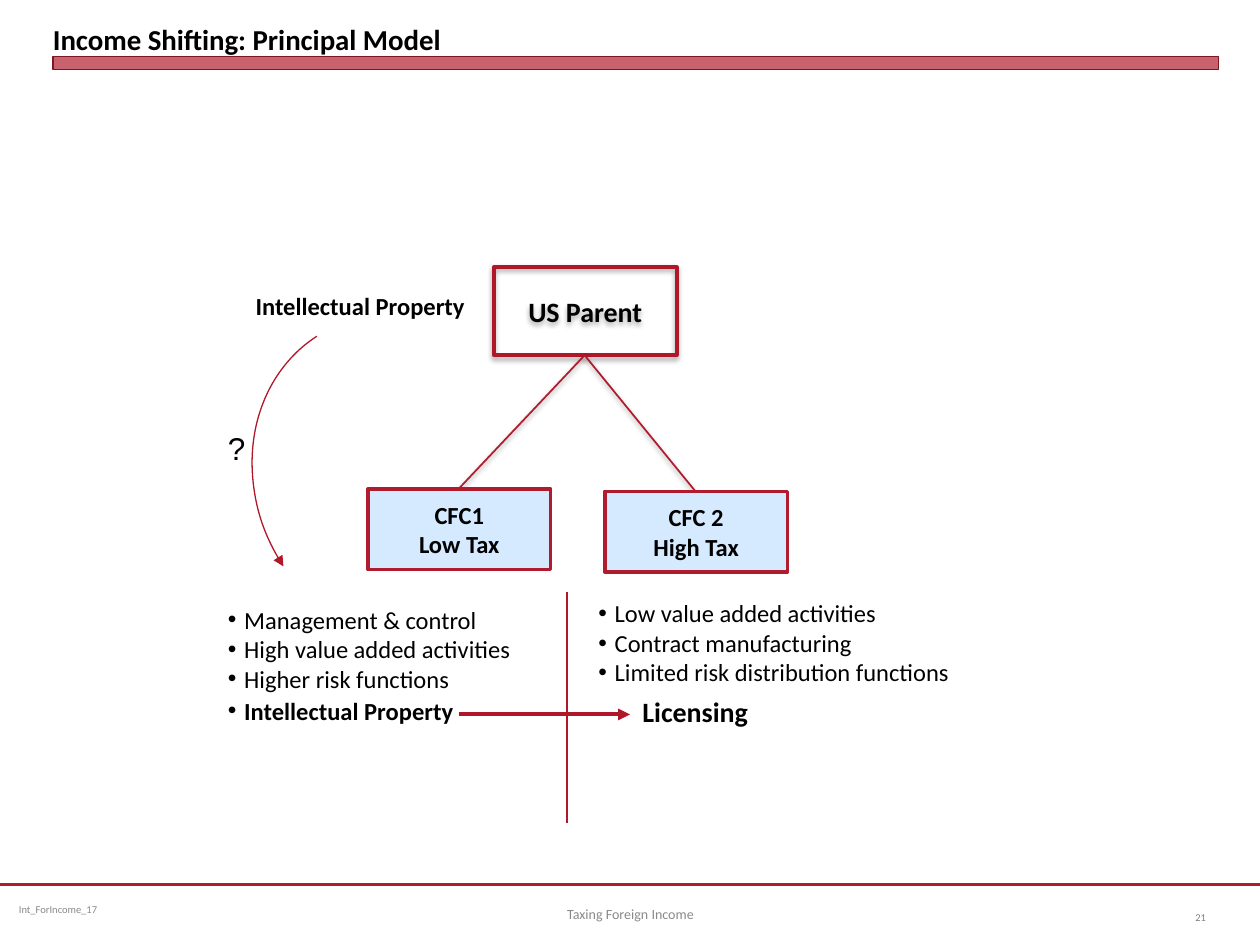
import pptx
import pptx.util
import pptx.dml.color
import pptx.enum.shapes
import pptx.enum.text
import pptx.oxml
import pptx.oxml.ns
from lxml import etree

Inches, Pt = pptx.util.Inches, pptx.util.Pt
SHAPE = pptx.enum.shapes.MSO_SHAPE
ALIGN = pptx.enum.text.PP_ALIGN
ANCHOR = pptx.enum.text.MSO_ANCHOR
CRIMSON, RED = "B01C2E", "B0182A"
BLACK, GRAY = "000000", "898989"
PALE_BLUE = "D6EAFF"


def rgb(hex_color):
    return pptx.dml.color.RGBColor.from_string(hex_color)


def add_child(parent, tag, **attributes):
    return etree.SubElement(parent, pptx.oxml.ns.qn(tag), attributes)


class SlideBuilder:
    def __init__(self, slide, font="Calibri"):
        self.slide = slide
        self.font = font

    def fill_text(self, frame, lines, size, color=BLACK, bold=False, align=ALIGN.LEFT,
                  anchor=ANCHOR.TOP, font=None, bulleted=False):
        frame.vertical_anchor = anchor
        for number, line in enumerate(lines):
            paragraph = frame.paragraphs[0] if number == 0 else frame.add_paragraph()
            paragraph.alignment = align
            if bulleted:
                properties = paragraph._p.get_or_add_pPr()
                properties.set("marL", str(Inches(0.13)))
                properties.set("indent", str(-Inches(0.13)))
                add_child(properties, "a:buFont", typeface="Arial")
                add_child(properties, "a:buChar", char="•")
            paragraph.add_run().text = line
            paragraph.font.name = font or self.font
            paragraph.font.size = Pt(size)
            paragraph.font.bold = bold
            paragraph.font.color.rgb = rgb(color)

    def text(self, left, top, width, height, lines, size, wrap=True, inset=None, **style):
        box = self.slide.shapes.add_textbox(*map(Inches, (left, top, width, height)))
        frame = box.text_frame
        frame.word_wrap = wrap
        if not wrap:
            frame.auto_size = pptx.enum.text.MSO_AUTO_SIZE.SHAPE_TO_FIT_TEXT
        if inset is not None:
            frame.margin_left = frame.margin_right = Inches(inset[0])
            frame.margin_top = frame.margin_bottom = Inches(inset[1])
        self.fill_text(frame, lines, size, **style)
        return frame

    def effects(self, shape, shadow):
        """Add a soft downward shadow (opacity %, blur, distance), or none."""
        effect_list = add_child(shape._element.spPr, "a:effectLst")
        if shadow:
            opacity, blur, distance = shadow
            outer = add_child(effect_list, "a:outerShdw", blurRad=str(Pt(blur)),
                              dist=str(Pt(distance)), dir="5400000", rotWithShape="0")
            color = add_child(outer, "a:srgbClr", val=BLACK)
            add_child(color, "a:alpha", val=str(opacity * 1000))

    def arrowhead(self, shape, end):
        add_child(shape.line._get_or_add_ln(), end, type="triangle")

    def shape(self, kind, left, top, width, height, line, weight, fill=None,
              opacity=100, shadow=None, arrow=None):
        shape = self.slide.shapes.add_shape(kind, *map(Inches, (left, top, width, height)))
        if fill:
            shape.fill.solid()
            shape.fill.fore_color.rgb = rgb(fill)
            if opacity < 100:
                color = shape._element.spPr.find(".//" + pptx.oxml.ns.qn("a:srgbClr"))
                add_child(color, "a:alpha", val=str(opacity * 1000))
        else:
            shape.fill.background()
        shape.line.color.rgb = rgb(line)
        shape.line.width = Pt(weight)
        if arrow:
            self.arrowhead(shape, arrow)
        self.effects(shape, shadow)
        return shape

    def entity(self, left, top, height, lines, size, line, weight, **look):
        box = self.shape(SHAPE.RECTANGLE, left, top, 1.45, height, line, weight, **look)
        self.fill_text(box.text_frame, lines, size, bold=True, align=ALIGN.CENTER,
                       anchor=ANCHOR.MIDDLE)

    def line(self, start, end, color, weight, shadow=None, arrow=None):
        line = self.slide.shapes.add_connector(
            pptx.enum.shapes.MSO_CONNECTOR.STRAIGHT, *map(Inches, (*start, *end)))
        line.line.color.rgb = rgb(color)
        line.line.width = Pt(weight)
        if arrow:
            self.arrowhead(line, arrow)
        self.effects(line, shadow)


def main():
    deck = pptx.Presentation()
    deck.slide_width, deck.slide_height = Inches(10), Inches(7.5)
    builder = SlideBuilder(deck.slides.add_slide(deck.slide_layouts[6]))

    # Footer and title
    builder.line((0, 7.02), (10, 7.02), CRIMSON, 1.25)
    builder.text(0.08, 7.02, 2.58, 0.4, ["Int_ForIncome_17"], 6, inset=(0.07, 0.04),
                 color=GRAY, anchor=ANCHOR.MIDDLE)
    builder.text(3.42, 7.05, 3.17, 0.4, ["Taxing Foreign Income"], 8, color=GRAY,
                 align=ALIGN.CENTER, anchor=ANCHOR.MIDDLE)
    builder.text(9.17, 7.08, 0.5, 0.4, ["21"], 6, color="808080",
                 align=ALIGN.RIGHT, anchor=ANCHOR.MIDDLE)
    builder.shape(SHAPE.RECTANGLE, 0.42, 0.45, 9.25, 0.1, "821522", 0,
                  fill=CRIMSON, opacity=69)
    builder.text(0.42, 0.05, 9.25, 0.4, ["Income Shifting: Principal Model"], 16.5,
                 inset=(0, 0), bold=True, anchor=ANCHOR.BOTTOM)

    # Parent and its two subsidiaries
    builder.entity(3.92, 2.12, 0.7, ["US Parent"], 16, RED, 2.25, shadow=(35, 3.1, 1.8))
    subsidiaries = [
        (2.92, 3.88, 3.64, ["CFC1", "Low Tax"]),
        (4.8, 3.9, 5.52, ["CFC 2", "High Tax"]),
    ]
    for left, top, joint, label in subsidiaries:
        builder.line((4.64, 2.82), (joint, top), CRIMSON, 1, shadow=(38, 3.1, 1.6))
        builder.entity(left, top, 0.64, label, 14, CRIMSON, 2, fill=PALE_BLUE)

    # Functions on each side of the divider
    builder.line((4.5, 4.7), (4.5, 6.53), RED, 0.75)
    low_tax_functions = builder.text(
        1.71, 4.75, 2.47, 1.31,
        ["Management & control", "High value added activities",
         "Higher risk functions", "Intellectual Property"],
        14, wrap=False, bulleted=True)
    property_item = low_tax_functions.paragraphs[-1]
    property_item.runs[0].font.bold = True
    trailing_space = property_item.add_run()
    trailing_space.text = " "
    trailing_space.font.size = Pt(16)
    builder.text(4.65, 4.7, 3.01, 0.81,
                 ["Low value added activities", "Contract manufacturing",
                  "Limited risk distribution functions"],
                 14, wrap=False, bulleted=True)

    # Licensing flow
    builder.line((3.64, 5.67), (5, 5.67), RED, 2.25, arrow="a:tailEnd")
    builder.text(5, 5.46, 1.05, 0.37, ["Licensing"], 16, wrap=False, bold=True)

    # Transfer of intellectual property
    builder.text(1.93, 2.26, 1.88, 0.34, ["Intellectual Property"], 14,
                 wrap=False, bold=True)
    transfer = builder.shape(SHAPE.ARC, 1.88, 2.62, 2.78, 2.43, RED, 0.75,
                             arrow="a:headEnd")
    transfer.rotation = 237.1
    builder.text(1.71, 3.36, 0.34, 0.4, ["?"], 18, wrap=False, font="Arial")

    deck.save("out.pptx")


if __name__ == "__main__":
    main()
